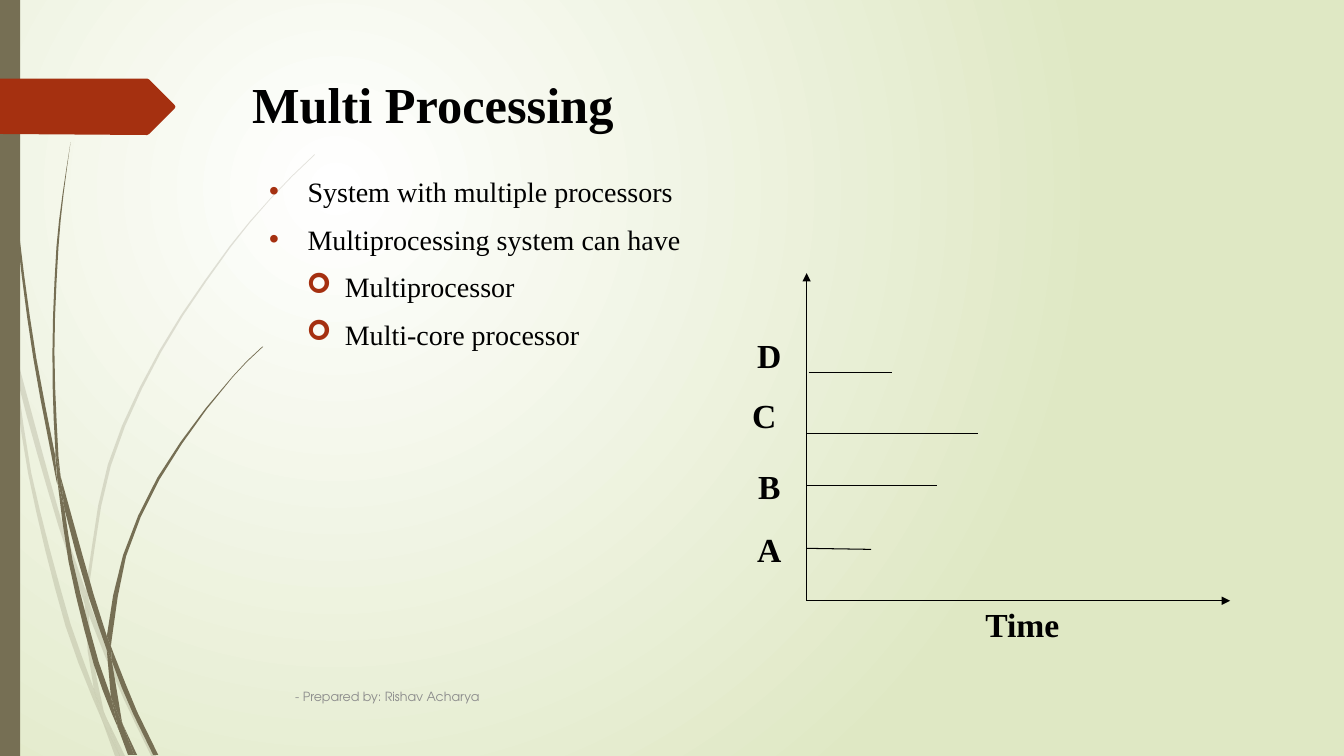
"""Build the Multi Processing slide with its timing diagram."""
import math
import pptx
import pptx.util
import pptx.dml.color
import pptx.enum.shapes
import pptx.enum.text
import pptx.oxml.ns
from lxml import etree

Inches, Pt = pptx.util.Inches, pptx.util.Pt
qn = pptx.oxml.ns.qn
Anchor = pptx.enum.text.MSO_ANCHOR
Align = pptx.enum.text.PP_ALIGN
Fit = pptx.enum.text.MSO_AUTO_SIZE
COLORS = {"ink": "000000", "olive": "766F54", "rust": "A53010", "gray": "8C8C8C",
          "white": "FFFFFF", "green": "DFE8C4"}
SERIF = "Times New Roman"
FORMATS = {
    "title": {"size": Pt(36), "name": SERIF, "bold": True},
    "body": {"size": Pt(20), "name": SERIF, "bold": False},
    "label": {"size": Pt(24), "name": SERIF, "bold": True},
    "foot": {"size": Pt(9), "name": "TeX Gyre Adventor", "bold": False},
}
PALE = [
    "0.11,3.5 0.09,3.22 0,2.82 0,2.99 0.1,3.44",
    "0.58,5.22 0.84,5.99 0.85,5.86 0.62,5.2 0.14,3.45 0.17,3.76",
    "0.92,6.07 0.88,5.96 0.88,6.1 1.23,6.94 1.5,7.5 1.55,7.5 1.27,6.92",
    "1.19,7.5 1.24,7.5 1.05,7.11",
    "0.93,6.83 0.7,6.19 0.31,4.69 0.17,3.76 0.11,3.5 0.28,4.7 0.65,6.21 0.92,6.93 1.01,7.14 0.99,7.07",
    "0.84,5.99 0.87,6.46 0.93,6.83 0.96,6.92 1.05,7.11 1.03,7.06 0.91,6.46 0.88,6.1 0.88,6.08",
    "0.88,5.84 1.1,4.62 1.6,3.49 2.29,2.45 2.68,1.98 2.9,1.75 3.12,1.54 3.12,1.53 2.89,1.75 "
    "2.68,1.97 2.28,2.44 1.58,3.48 1.07,4.61 0.85,5.84 0.85,5.86 0.88,5.96",
    "1.01,7.14 1.14,7.5 1.19,7.5",
    "0.88,6.08 0.88,6.1 0.88,5.96 0.85,5.86 0.84,5.99",
    "0.96,6.92 0.93,6.83 0.99,7.07 1.01,7.14 1.19,7.5 1.05,7.11",
]
DARK = [
    "0.07,1.1 0.17,2.33 0.33,3.55 0.56,4.77 0.57,4.81 0.55,4.57 0.55,4.53 0.36,3.55 0.19,2.32 "
    "0.08,1.09 0.05,0.48 0.04,0 0.03,0 0.04,0.48",
    "0.88,5.92 1.06,6.45 1.06,6.33 1.06,6.31 0.93,5.9 0.6,4.72 0.64,5.05",
    "1.13,6.49 1.1,6.41 1.11,6.56 1.32,7.08 1.52,7.49 1.57,7.49 1.36,7.06",
    "1.1,6.91 0.98,6.57 0.72,5.56 0.64,5.05 0.57,4.77 0.68,5.57 0.93,6.59 1.11,7.08 1.17,7.22 1.16,7.17",
    "0.6,4.72 0.58,4.53 0.54,3.49 0.58,2.45 0.63,1.93 0.7,1.41 0.62,1.93 0.56,2.45 0.52,3.49 0.55,4.49",
    "1.33,7.49 1.36,7.49 1.22,7.19",
    "0.57,4.77 0.64,5.05 0.6,4.72 0.55,4.49 0.55,4.53",
    "1.11,6.33 1.25,5.52 1.58,4.76 2.05,4.06 2.31,3.74 2.45,3.59 2.61,3.44 2.6,3.44 2.45,3.58 "
    "2.31,3.73 2.04,4.05 1.56,4.74 1.22,5.51 1.06,6.31 1.1,6.41",
    "1.17,7.22 1.27,7.49 1.31,7.49",
    "1.06,6.45 1.1,6.91 1.16,7.06 1.22,7.19 1.21,7.16 1.11,6.56 1.09,6.51",
    "1.06,6.45 1.09,6.51 1.11,6.56 1.1,6.41 1.06,6.31 1.06,6.33",
    "1.16,7.06 1.1,6.91 1.16,7.17 1.17,7.22 1.3,7.49 1.33,7.49 1.22,7.19",
]
ARROW = [(0, 0.78), (1.46, 0.78), (1.48, 0.79), (1.73, 1.04), (1.74, 1.06),
         (1.73, 1.08), (1.48, 1.33), (1.46, 1.34), (0, 1.33)]
BULLETS = [("System with multiple processors", 0), ("Multiprocessing system can have", 0),
           ("Multiprocessor", 1), ("Multi-core processor", 1)]
LABELS = [("A", 6.64, 5.2), ("B", 6.64, 4.57), ("C", 6.59, 3.87), ("D", 6.64, 3.27),
          ("Time", 9.15, 5.94)]
AXES = [(8, 5.96, 8, 2.71), (8, 5.96, 12.2, 5.96)]
BARS = [(8, 4.82, 9.29, 4.82), (8, 5.44, 8.64, 5.45), (8, 4.3, 9.7, 4.3), (8.02, 3.7, 8.85, 3.7)]


def tint(name):
    return pptx.dml.color.RGBColor.from_string(COLORS[name])


def place(shape, *box):
    for side, value in zip(("left", "top", "width", "height"), box):
        setattr(shape, side, Inches(value))


def style(para, kind, color="ink"):
    for key, value in FORMATS[kind].items():
        setattr(para.font, key, value)
    para.font.color.rgb = tint(color)


def slope(before, here, after):
    into = (here[0] - before[0], here[1] - before[1])
    out = (after[0] - here[0], after[1] - here[1])
    turn = into[0] * out[0] + into[1] * out[1]
    if turn < 0.7 * math.hypot(*into) * math.hypot(*out):
        return None
    span = math.dist(before, after)
    return (after[0] - before[0]) / span, (after[1] - before[1]) / span


def bend(points):
    count = len(points)
    slopes = [slope(points[i - 1], points[i], points[(i + 1) % count]) for i in range(count)]
    curve = []
    for i, start in enumerate(points):
        end = points[(i + 1) % count]
        reach = math.dist(start, end)
        chord = ((end[0] - start[0]) / reach, (end[1] - start[1]) / reach)
        head, tail = slopes[i] or chord, slopes[(i + 1) % count] or chord
        steps = 1 + int(reach * 2)
        for step in range(steps):
            t = step / steps
            u = 1 - t
            curve.append(tuple(
                a * u * u * (u + 3 * t) + b * t * t * (t + 3 * u)
                + reach * u * t * (u * h - t * k)
                for a, b, h, k in zip(start, end, head, tail)))
    return curve


def outline(shapes, points, color, alpha=None):
    spots = [(Inches(x), Inches(y)) for x, y in points]
    pen = shapes.build_freeform(*spots[0])
    pen.add_line_segments(spots[1:], close=True)
    paint(pen.convert_to_shape(), color, alpha)


def paint(shape, color, alpha=None):
    shape.shadow.inherit = False
    shape.fill.solid()
    shape.fill.fore_color.rgb = tint(color)
    shape.line.fill.background()
    if alpha:
        tone = shape.element.find(".//" + qn("a:srgbClr"))
        etree.SubElement(tone, qn("a:alpha"), val=str(alpha * 1000))


def wisps(slide, strands, alpha=None):
    group = slide.shapes.add_group_shape()
    for strand in strands:
        points = [tuple(map(float, pair.split(","))) for pair in strand.split()]
        outline(group.shapes, bend(points), "olive", alpha)


def backdrop(slide):
    fill = slide.background.fill
    fill.gradient()
    for stop, color, spot in zip(fill.gradient_stops, ("white", "green"), (0, 1)):
        stop.color.rgb = tint(color)
        stop.position = spot
    grad = slide.element.find(".//" + qn("a:gradFill"))
    grad.remove(grad.find(qn("a:lin")))
    ring = etree.SubElement(grad, qn("a:path"), {"path": "circle"})
    etree.SubElement(ring, qn("a:fillToRect"), l="50000", t="50000", r="100000", b="100000")


def bullet(para, level):
    props = para._p.get_or_add_pPr()
    props.set("marL", str(Inches(0.38 + 0.37 * level)))
    props.set("indent", str(Inches(-0.38)))
    color = etree.SubElement(props, qn("a:buClr"))
    etree.SubElement(color, qn("a:srgbClr"), val=COLORS["rust"])
    etree.SubElement(props, qn("a:buFont"), typeface=("Arial", "Wingdings")[level])
    etree.SubElement(props, qn("a:buChar"), char="•➢"[level])


def listing(frame):
    for i, (text, level) in enumerate(BULLETS):
        para = frame.add_paragraph() if i else frame.paragraphs[0]
        para.text = text
        para.level = level
        bullet(para, level)
        para.space_before = Pt(10 if i else 0)
        style(para, "body")


def label(shapes, text, box, kind, color="ink", **layout):
    frame = shapes.add_textbox(*map(Inches, box)).text_frame
    for key, value in {"word_wrap": True, **layout}.items():
        setattr(frame, key, value)
    para = frame.paragraphs[0]
    para.text = text
    para.alignment = Align.CENTER if kind == "label" else Align.LEFT
    style(para, kind, color)


def line(shapes, ends, tip=False):
    link = shapes.add_connector(pptx.enum.shapes.MSO_CONNECTOR.STRAIGHT, *map(Inches, ends))
    link.line.color.rgb = tint("ink")
    link.line.width = Pt(0.75)
    if tip:
        etree.SubElement(link.element.find(".//" + qn("a:ln")), qn("a:tailEnd"), type="triangle")
    etree.SubElement(link.element.spPr, qn("a:effectLst"))


def chart(slide):
    shapes = slide.shapes.add_group_shape().shapes
    for ends in AXES:
        line(shapes, ends, tip=True)
    for ends in BARS:
        line(shapes, ends)
    for text, left, top in LABELS:
        label(shapes, text, (left, top, 1.98, 0.5), "label", auto_size=Fit.SHAPE_TO_FIT_TEXT)


def main():
    deck = pptx.Presentation()
    deck.slide_width, deck.slide_height = Inches(13.33), Inches(7.5)
    slide = deck.slides.add_slide(deck.slide_layouts[1])
    title, body = slide.placeholders
    backdrop(slide)
    wisps(slide, PALE, 20)
    wisps(slide, DARK)
    band = slide.shapes.add_shape(pptx.enum.shapes.MSO_SHAPE.RECTANGLE, 0, 0, Inches(0.2), Inches(7.5))
    paint(band, "olive")
    outline(slide.shapes, ARROW, "rust")
    for holder, box in ((title, (2.4, 0.68, 9.75, 1.4)), (body, (2.57, 1.68, 10.01, 4.13))):
        place(holder, *box)
        holder.text_frame.vertical_anchor = Anchor.TOP
        band.element.getparent().append(holder.element)
    title.text_frame.text = "Multi Processing"
    title.text_frame.paragraphs[0].alignment = Align.LEFT
    style(title.text_frame.paragraphs[0], "title")
    listing(body.text_frame)
    chart(slide)
    label(slide.shapes, "- Prepared by: Rishav Acharya", (2.83, 6.71, 8.33, 0.4), "foot", "gray",
          vertical_anchor=Anchor.MIDDLE)
    deck.save("out.pptx")


if __name__ == "__main__":
    main()
